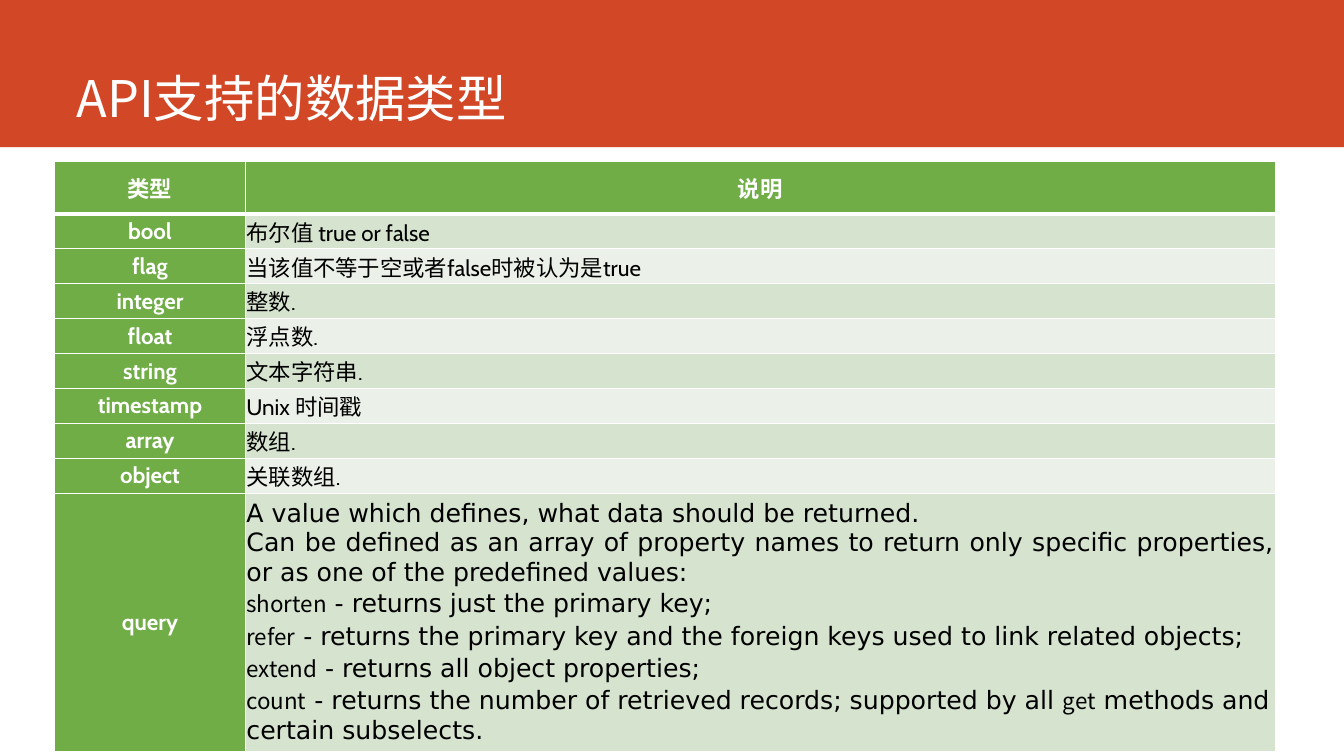
"""Build the slide that lists the data types supported by the API."""
from lxml import etree
from pptx import Presentation
from pptx.dml.color import RGBColor
from pptx.enum.shapes import MSO_SHAPE
from pptx.enum.text import MSO_ANCHOR, PP_ALIGN
from pptx.oxml.ns import qn
from pptx.util import Cm, Pt

RECT = MSO_SHAPE.RECTANGLE
MIDDLE, BOTTOM = MSO_ANCHOR.MIDDLE, MSO_ANCHOR.BOTTOM
LEFT, CENTER, JUSTIFY = PP_ALIGN.LEFT, PP_ALIGN.CENTER, PP_ALIGN.JUSTIFY

COLORS = {"banner": "D24726", "green": "70AD47", "dark": "D5E3CF",
          "light": "EBF1E9", "white": "FFFFFF", "black": "000000"}
HAN = "Noto Sans CJK SC"
TITLE = {"name": HAN, "size": Pt(36), "bold": False}
HEAD = {"name": "Cabin", "size": Pt(16), "bold": True}
BODY = {"name": "Cabin", "size": Pt(16), "bold": False}
CODE = {"name": HAN, "size": Pt(16), "bold": False}
PROSE = {"name": "DejaVu Sans", "size": Pt(18), "bold": False}
CELL = {"margin_left": Cm(0.03), "margin_right": Cm(0.03), "margin_top": Cm(0.03),
        "margin_bottom": Cm(0.03), "vertical_anchor": MIDDLE}

TYPES = [
    ("类型", "说明"),
    ("bool", "布尔值 true or false"),
    ("flag", "当该值不等于空或者false时被认为是true"),
    ("integer", "整数."),
    ("float", "浮点数."),
    ("string", "文本字符串."),
    ("timestamp", "Unix 时间戳"),
    ("array", "数组."),
    ("object", "关联数组."),
    ("query", None),
]
QUERY = [
    [("A value which defines, what data should be returned. ", PROSE)],
    [("Can be defined as an array of property names to return only specific "
      "properties, or as one of the predefined values: ", PROSE)],
    [("shorten", CODE), (" - returns just the primary key; ", PROSE)],
    [("refer", CODE), (" - returns the primary key and the foreign keys used to "
                       "link related objects; ", PROSE)],
    [("extend", CODE), (" - returns all object properties; ", PROSE)],
    [("count", CODE), (" - returns the number of retrieved records; supported by "
                       "all ", PROSE),
     ("get", CODE), (" methods and certain subselects.", PROSE)],
]


def write(frame, lines, color, align):
    """Fill a text frame with lines of (text, format) runs."""
    for i, line in enumerate(lines):
        para = frame.add_paragraph() if i else frame.paragraphs[0]
        para.alignment = align
        for text, form in line:
            run = para.add_run()
            run.text = text
            for key, value in form.items():
                setattr(run.font, key, value)
            run.font.color.rgb = RGBColor.from_string(COLORS[color])
            east = etree.SubElement(run.font._element, qn("a:ea"))
            east.set("typeface", HAN)


def border(cell, side, width):
    """Draw a white line on one side of a cell."""
    line = etree.SubElement(cell._tc.get_or_add_tcPr(), qn("a:ln" + side))
    line.set("w", str(Pt(width)))
    fill = etree.SubElement(line, qn("a:solidFill"))
    etree.SubElement(fill, qn("a:srgbClr")).set("val", COLORS["white"])


deck = Presentation()
deck.slide_width, deck.slide_height = Cm(33.87), Cm(19.05)
slide = deck.slides.add_slide(deck.slide_layouts[6])

banner = slide.shapes.add_shape(RECT, 0, 0, deck.slide_width, Cm(3.71))
banner.shadow.inherit = False
banner.fill.solid()
banner.fill.fore_color.rgb = RGBColor.from_string(COLORS["banner"])
banner.line.fill.background()

title = slide.shapes.add_textbox(Cm(1.68), 0, Cm(29.87), Cm(3.35)).text_frame
title.word_wrap = True
title.vertical_anchor = BOTTOM
write(title, [[("API支持的数据类型", TITLE)]], "white", LEFT)

last = len(TYPES) - 1
heights = [1.32] + [0.88] * (last - 1) + [6.5]
grid = slide.shapes.add_table(len(TYPES), 2, Cm(1.38), Cm(4.07),
                              Cm(30.76), Cm(sum(heights))).table
for col, width in zip(grid.columns, (4.8, 25.96)):
    col.width = Cm(width)

for r, pair in enumerate(TYPES):
    grid.rows[r].height = Cm(heights[r])
    for c, text in enumerate(pair):
        cell = grid.cell(r, c)
        for key, value in CELL.items():
            setattr(cell, key, value)
        for side in "LRTB":
            thick = (r == 0 and side == "B") or (r == 1 and side == "T")
            border(cell, side, 3 if thick else 1)
        head = r == 0 or c == 0
        band = "green" if head else "dark" if r % 2 else "light"
        cell.fill.solid()
        cell.fill.fore_color.rgb = RGBColor.from_string(COLORS[band])
        lines = [[(text, HEAD if head else BODY)]] if text else QUERY
        write(cell.text_frame, lines, "white" if head else "black",
              CENTER if head else JUSTIFY)

grid.cell(last, 1).text_frame.paragraphs[-1].alignment = LEFT

deck.save("out.pptx")
